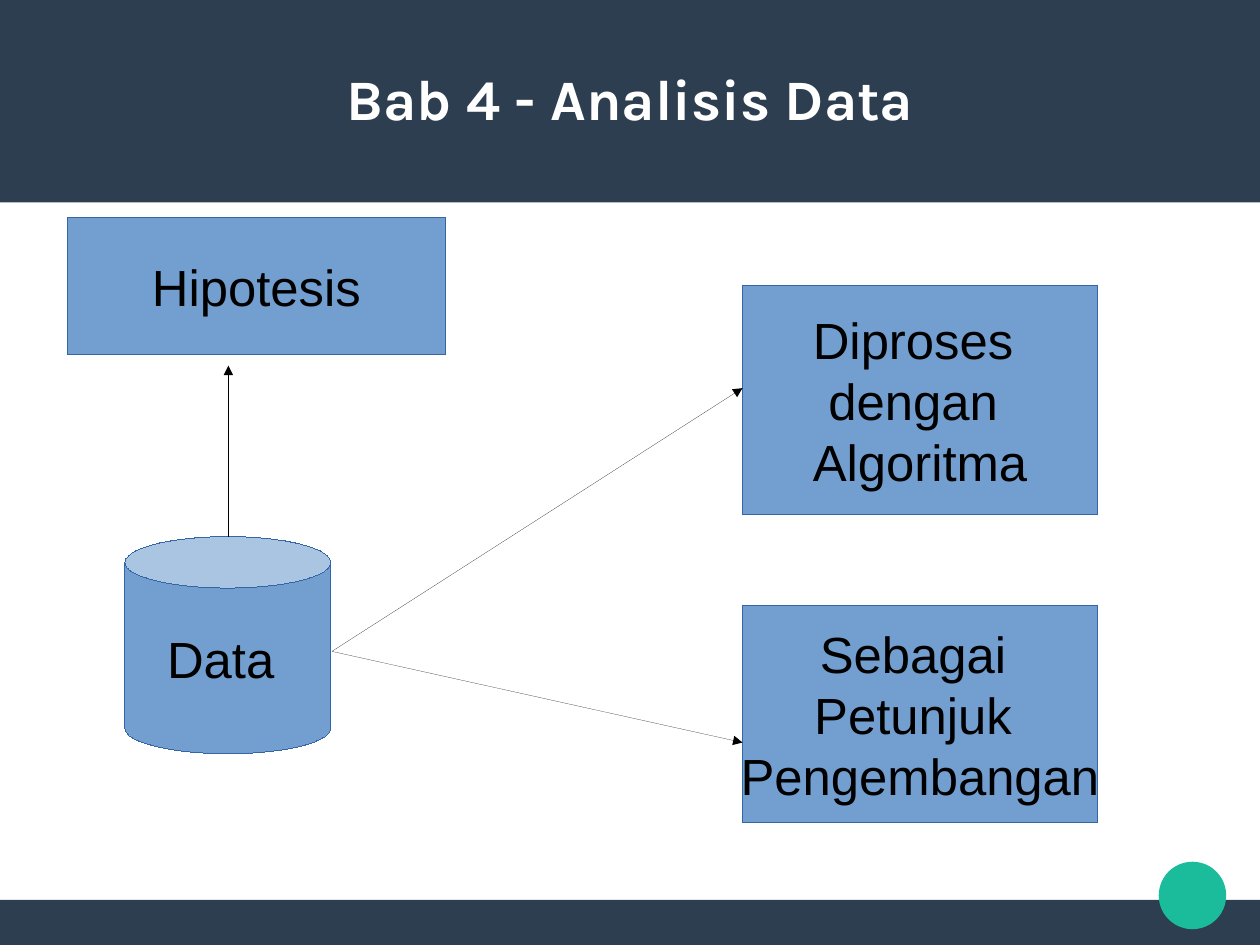
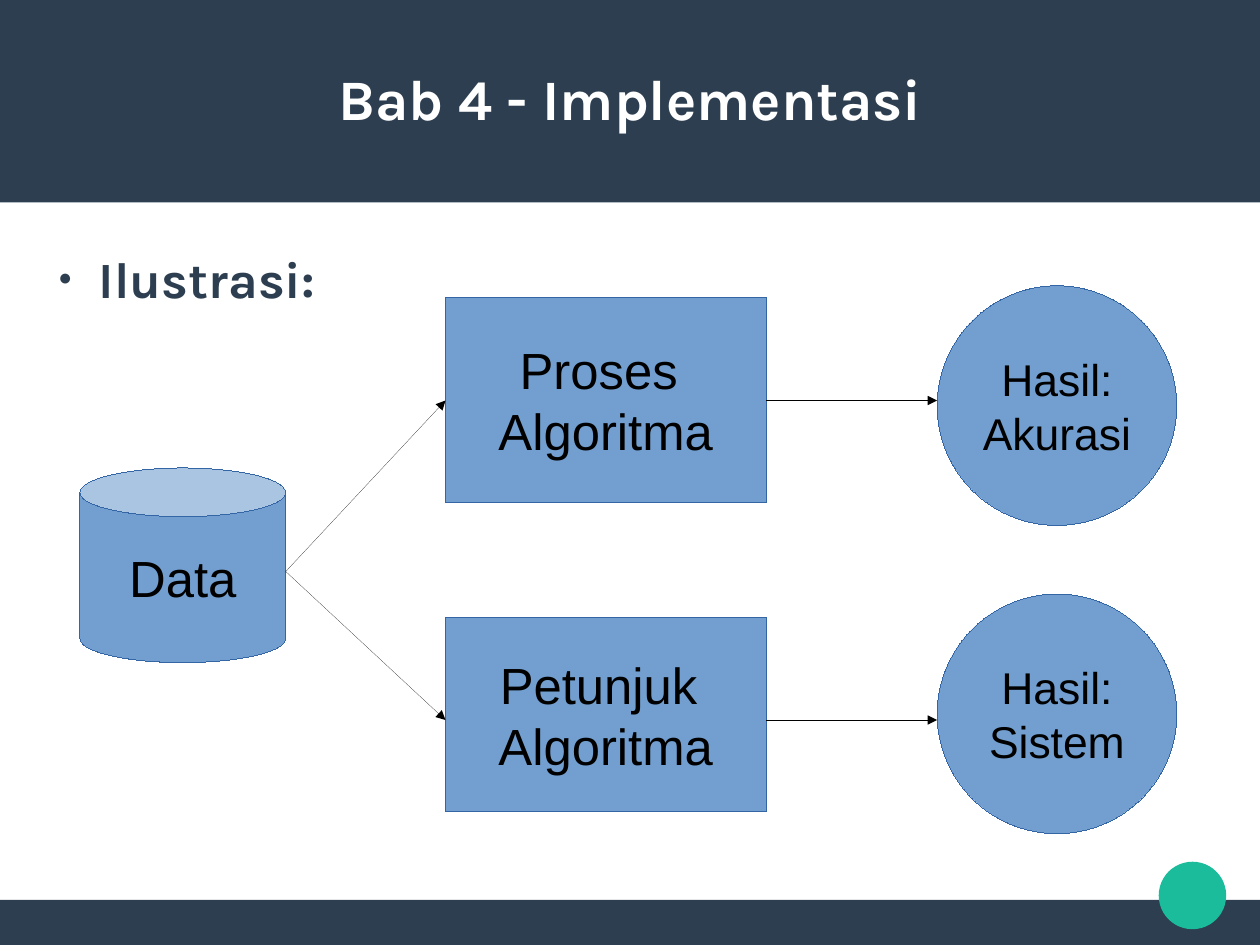
from typing import NamedTuple

from lxml.etree import SubElement
from pptx import Presentation
from pptx.dml.color import RGBColor
from pptx.enum.shapes import MSO_CONNECTOR as Connector, MSO_SHAPE as Shape
from pptx.enum.text import MSO_ANCHOR as Anchor, MSO_AUTO_SIZE as AutoSize, PP_ALIGN as Align
from pptx.oxml.ns import qn
from pptx.util import Pt

NAVY = RGBColor(0x2C, 0x3E, 0x50)
TEAL = RGBColor(0x1A, 0xBC, 0x9C)
BLUE = RGBColor(0x72, 0x9F, 0xCF)
EDGE = RGBColor(0x34, 0x65, 0xA4)
WHITE = RGBColor(0xFF, 0xFF, 0xFF)
BLACK = RGBColor(0, 0, 0)

EMU_PER_PX = 9000
WIDTH, HEIGHT = 1120, 840


class Box(NamedTuple):
    """A rectangle in px."""
    left: int
    top: int
    width: int
    height: int

    def inside(self, left, top, width, height):
        """Return a box given relative to this one."""
        return Box(self.left + left, self.top + top, width, height)

    def emu(self):
        """Return the four lengths in EMU."""
        return [px(length) for length in self]


PAGE = Box(0, 0, WIDTH, HEIGHT)
HEADING = Box(40, 33, 1040, 107)
BODY = Box(40, 220, 1040, 560)
ANALYSIS = Box(60, 193, 916, 538)
IMPLEMENTATION = Box(71, 254, 975, 487)


def px(length):
    """Turn px into EMU."""
    return length * EMU_PER_PX


def style_paragraphs(frame, font_name, size, color, bold=False, align=None):
    """Give every paragraph of a text frame one font and alignment."""
    for paragraph in frame.paragraphs:
        paragraph.alignment = align
        font = paragraph.font
        font.name, font.size, font.bold = font_name, Pt(size), bold
        font.color.rgb = color


def clear_insets(frame):
    """Remove the inner margins of a text frame."""
    frame.margin_left = frame.margin_top = frame.margin_right = frame.margin_bottom = 0
    frame.word_wrap = True
    frame.auto_size = AutoSize.NONE


def drop_theme_style(part):
    """Remove the theme style, which leaves a hairline as the outline."""
    part.element.remove(part.element.find(qn("p:style")))


def add_figure(slide, kind, box, fill, edge=None):
    """Draw a flat preset shape, outlined only if an edge colour is given."""
    figure = slide.shapes.add_shape(kind, *box.emu())
    drop_theme_style(figure)
    figure.shadow.inherit = False
    figure.fill.solid()
    figure.fill.fore_color.rgb = fill
    if edge is None:
        figure.line.fill.background()
    else:
        figure.line.color.rgb = edge
    return figure


def add_node(slide, kind, box, text, size=32):
    """Draw one labelled step of a diagram."""
    frame = add_figure(slide, kind, box, BLUE, EDGE).text_frame
    frame.text = text
    frame.word_wrap = False
    frame.vertical_anchor = Anchor.MIDDLE
    style_paragraphs(frame, "Arial", size, BLACK, align=Align.CENTER)


def add_arrow(slide, box, start, end):
    """Draw an arrow between two points relative to the box."""
    ends = [px(origin + offset) for point in (start, end)
            for origin, offset in zip(box[:2], point)]
    arrow = slide.shapes.add_connector(Connector.STRAIGHT, *ends)
    drop_theme_style(arrow)
    arrow.line.color.rgb = BLACK
    properties = arrow.element.spPr
    SubElement(properties.find(qn("a:ln")), qn("a:tailEnd"), type="triangle")
    SubElement(properties, qn("a:effectLst"))


def add_diagram(slide, box, nodes, arrows):
    """Draw the nodes and arrows of a diagram inside the box."""
    for kind, place, *label in nodes:
        add_node(slide, kind, box.inside(*place), *label)
    for start, end in arrows:
        add_arrow(slide, box, start, end)


def add_titled_slide(deck, title):
    """Add a slide with its centred heading."""
    slide = deck.slides.add_slide(deck.slide_layouts[5])
    heading = slide.shapes.title
    heading.left, heading.top, heading.width, heading.height = HEADING.emu()
    frame = heading.text_frame
    frame.text = title
    clear_insets(frame)
    frame.vertical_anchor = Anchor.MIDDLE
    style_paragraphs(frame, "Karla", 36, WHITE, bold=True, align=Align.CENTER)
    return slide


def move_bands_to_layout(slide, box):
    """Put the bands and the dot on the layout that the slides share."""
    layout = slide.slide_layout
    for placeholder in list(layout.placeholders)[1:]:
        placeholder.element.getparent().remove(placeholder.element)
    bands = (
        (Shape.RECTANGLE, (0, 800, WIDTH, 40), NAVY),
        (Shape.RECTANGLE, (0, 0, WIDTH, 180), NAVY),
        (Shape.OVAL, (1030, 766, 60, 60), TEAL),
    )
    for kind, place, fill in bands:
        band = add_figure(slide, kind, box.inside(*place), fill)
        layout.shapes.element.append(band.element)


def add_bullet(slide, box, text):
    """Write one bulleted line at the top of the box."""
    frame = slide.shapes.add_textbox(*box.emu()).text_frame
    clear_insets(frame)
    frame.text = text
    style_paragraphs(frame, "Karla", 32, NAVY, bold=True)
    paragraph = frame.paragraphs[0]
    paragraph.space_after = Pt(14.1)
    properties = paragraph._p.get_or_add_pPr()
    properties.set("marL", str(px(48)))
    properties.set("indent", str(px(-36)))
    default_font = properties.find(qn("a:defRPr"))
    bullet_color = SubElement(properties, qn("a:buClr"))
    SubElement(bullet_color, qn("a:srgbClr"), val=str(NAVY))
    SubElement(properties, qn("a:buSzPct"), val="45000")
    SubElement(properties, qn("a:buFont"), typeface="Arial")
    SubElement(properties, qn("a:buChar"), char="●")
    properties.append(default_font)


def fill_analysis(slide, box):
    """Lead the data to the hypothesis and to its two uses."""
    source = (235, 386)
    nodes = (
        (Shape.CAN, (51, 284, 183, 193), "Data "),
        (Shape.RECTANGLE, (600, 61, 316, 203), "Diproses \ndengan \nAlgoritma"),
        (Shape.RECTANGLE, (600, 345, 316, 193), "Sebagai \nPetunjuk \nPengembangan"),
        (Shape.RECTANGLE, (0, 0, 336, 122), "Hipotesis"),
    )
    arrows = ((source, (600, 152)), (source, (600, 467)), ((143, 284), (143, 132)))
    add_diagram(slide, box, nodes, arrows)


def fill_implementation(slide, box):
    """Lead the data through two processes to their results."""
    process, result = Shape.FLOWCHART_PROCESS, Shape.OVAL
    nodes = (
        (Shape.CAN, (0, 162, 183, 173), "Data"),
        (process, (325, 10, 285, 183), "Proses \nAlgoritma"),
        (result, (762, 0, 213, 213), "Hasil:\nAkurasi", 28),
        (process, (325, 295, 285, 172), "Petunjuk \nAlgoritma"),
        (result, (762, 274, 213, 213), "Hasil:\nSistem", 28),
    )
    arrows = [arrow for row in (102, 386) for arrow in (
        ((183, 254), (325, row)), ((610, row), (762, row)))]
    add_diagram(slide, box, nodes, arrows)


def main():
    """Build and save the presentation."""
    deck = Presentation()
    deck.slide_width, deck.slide_height = px(WIDTH), px(HEIGHT)

    analysis = add_titled_slide(deck, "Bab 4 - Analisis Data")
    move_bands_to_layout(analysis, PAGE)
    fill_analysis(analysis, ANALYSIS)

    implementation = add_titled_slide(deck, "Bab 4 - Implementasi")
    add_bullet(implementation, BODY, "Ilustrasi:")
    fill_implementation(implementation, IMPLEMENTATION)

    deck.save("out.pptx")


if __name__ == "__main__":
    main()
